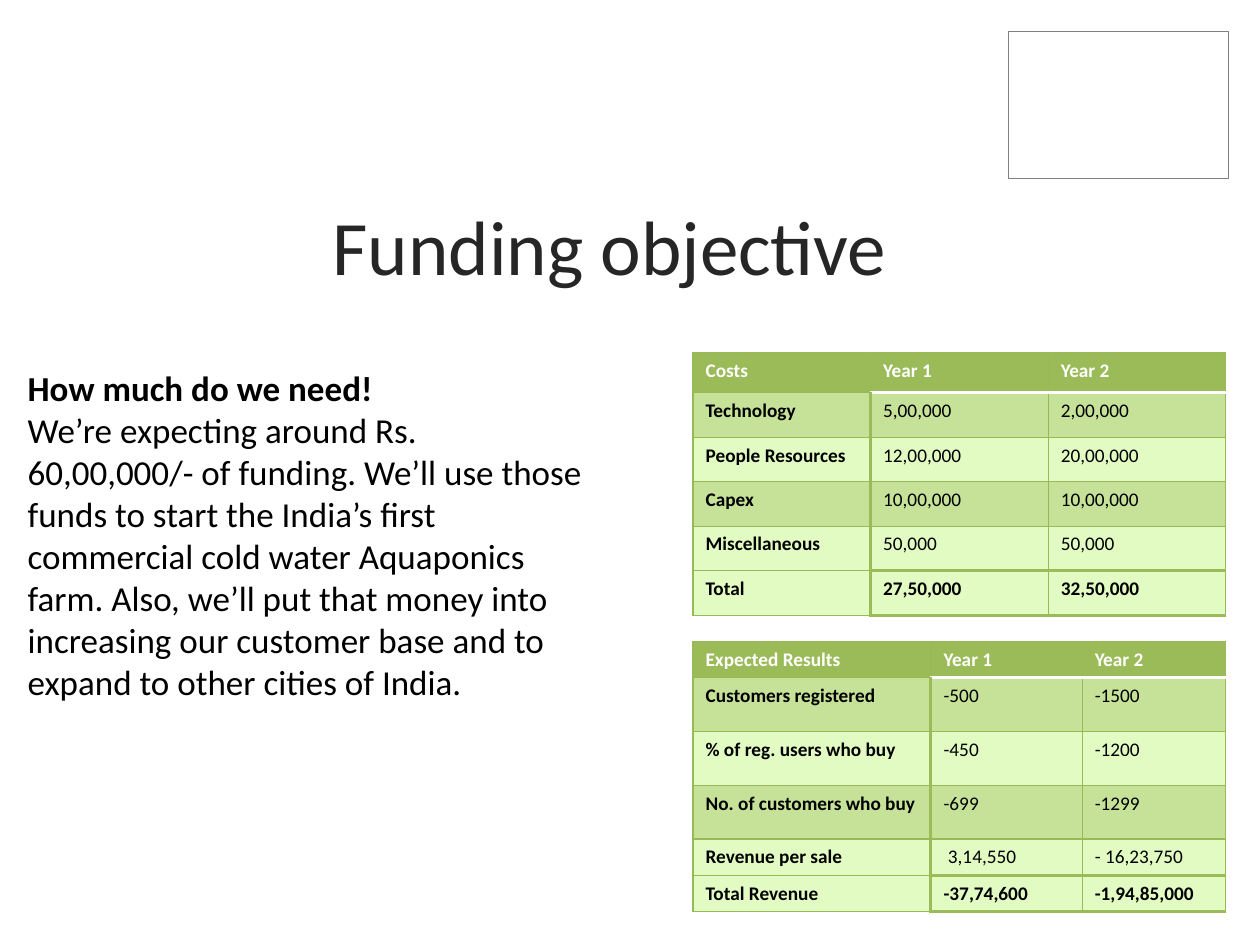
import pptx
import pptx.dml.color
import pptx.enum.shapes
import pptx.enum.text
import pptx.oxml
import pptx.oxml.ns
import pptx.util
from dataclasses import dataclass

Pt = pptx.util.Pt
RGB = pptx.dml.color.RGBColor.from_string


@dataclass(frozen=True)
class Theme:
    font: str = "Calibri"
    title: str = "262626"
    text: str = "000000"
    white: str = "FFFFFF"
    frame: str = "808080"
    header: str = "9BBB59"
    grid: str = "98B955"
    band: str = "C6E298"
    light: str = "E2FBC2"
    title_size: int = 44
    body_size: int = 20
    table_size: int = 11
    thin: float = 0.75
    thick: float = 2


theme = Theme()


def write(p, text, size=theme.table_size, color=theme.text, bold=False, align=None):
    r = p.add_run()
    r.text = text
    r.font.name = theme.font
    r.font.size = Pt(size)
    r.font.bold = bold
    r.font.color.rgb = RGB(color)
    p.alignment = align
    p.space_before = Pt(0)


def add_border(cell, side, color, width):
    ns = pptx.oxml.ns.nsdecls("a")
    cell._tc.get_or_add_tcPr().append(pptx.oxml.parse_xml(
        f'<a:ln{side} {ns} w="{Pt(width)}"><a:solidFill>'
        f'<a:srgbClr val="{color}"/></a:solidFill></a:ln{side}>'))


prs = pptx.Presentation()
prs.slide_width, prs.slide_height = Pt(720), Pt(540)
s = prs.slides.add_slide(prs.slide_layouts[0])
left_align = pptx.enum.text.PP_ALIGN.LEFT

# Empty frame in the top right corner
sp = s.shapes.add_shape(pptx.enum.shapes.MSO_SHAPE.RECTANGLE,
                        Pt(576), Pt(18), Pt(126), Pt(84))
sp.shadow.inherit = False
sp.fill.solid()
sp.fill.fore_color.rgb = RGB(theme.white)
sp.line.color.rgb = RGB(theme.frame)
sp.line.width = Pt(0.25)

# Title and body
title, body = s.shapes.title, s.placeholders[1]
title.left, title.top, title.width, title.height = Pt(42.5), Pt(82), Pt(612), Pt(116)
title.text_frame.vertical_anchor = pptx.enum.text.MSO_ANCHOR.MIDDLE
write(title.text_frame.paragraphs[0], "Funding objective", size=theme.title_size,
      color=theme.title, align=pptx.enum.text.PP_ALIGN.CENTER)

body.left, body.top, body.width, body.height = Pt(8.6), Pt(206), Pt(335), Pt(227)
tf = body.text_frame
tf.vertical_anchor = pptx.enum.text.MSO_ANCHOR.TOP
write(tf.paragraphs[0], "How much do we need!", size=theme.body_size,
      bold=True, align=left_align)
write(tf.add_paragraph(),
      "We’re expecting around Rs. 60,00,000/- of funding. We’ll use those funds to "
      "start the India’s first commercial cold water Aquaponics farm. Also, we’ll put "
      "that money into increasing our customer base and to expand to other cities of "
      "India.", size=theme.body_size, align=left_align)

# Tables: top, column widths, row heights, rows
costs = [
    ("Costs", "Year 1", "Year 2"),
    ("Technology", "5,00,000", "2,00,000"),
    ("People Resources", "12,00,000", "20,00,000"),
    ("Capex", "10,00,000", "10,00,000"),
    ("Miscellaneous", "50,000", "50,000"),
    ("Total", "27,50,000", "32,50,000"),
]
results = [
    ("Expected Results", "Year 1", "Year 2"),
    ("Customers registered", "-500", "-1500"),
    ("% of reg. users who buy", "-450", "-1200"),
    ("No. of customers who buy", "-699", "-1299"),
    ("Revenue per sale", " 3,14,550", "- 16,23,750"),
    ("Total Revenue", "-37,74,600", "-1,94,85,000"),
]
tables = [
    (201.5, [101.5] * 3, [23] + [25.4] * 5, costs),
    (366.5, [136, 86.4, 82.1], [20.6] + [30.7] * 3 + [20.6] * 2, results),
]
for top, widths, heights, rows in tables:
    table = s.shapes.add_table(len(rows), len(widths), Pt(396), Pt(top),
                               Pt(sum(widths)), Pt(sum(heights))).table
    table.first_row = table.horz_banding = False
    for column, width in zip(table.columns, widths):
        column.width = Pt(width)
    last = len(rows) - 1
    thin, thick = (theme.grid, theme.thin), (theme.header, theme.thick)
    for i, row in enumerate(rows):
        table.rows[i].height = Pt(heights[i])
        for j, text in enumerate(row):
            cell = table.cell(i, j)
            # Rules above row 1, around the total and beside the labels are heavy
            edges = {1: (theme.white, theme.thick), last: thick, last + 1: thick}
            if j == 0:
                edges = {}
            add_border(cell, "L", *(thick if j == 1 and i else thin))
            add_border(cell, "R", *(thick if j == 0 and i else thin))
            add_border(cell, "T", *edges.get(i, thin))
            add_border(cell, "B", *edges.get(i + 1, thin))
            is_band = i % 2 == 1 and i < last
            cell.fill.solid()
            cell.fill.fore_color.rgb = RGB(
                theme.header if i == 0 else theme.band if is_band else theme.light)
            write(cell.text_frame.paragraphs[0], text,
                  color=theme.text if i else theme.white,
                  bold=i in (0, last) or j == 0)

prs.save("out.pptx")
